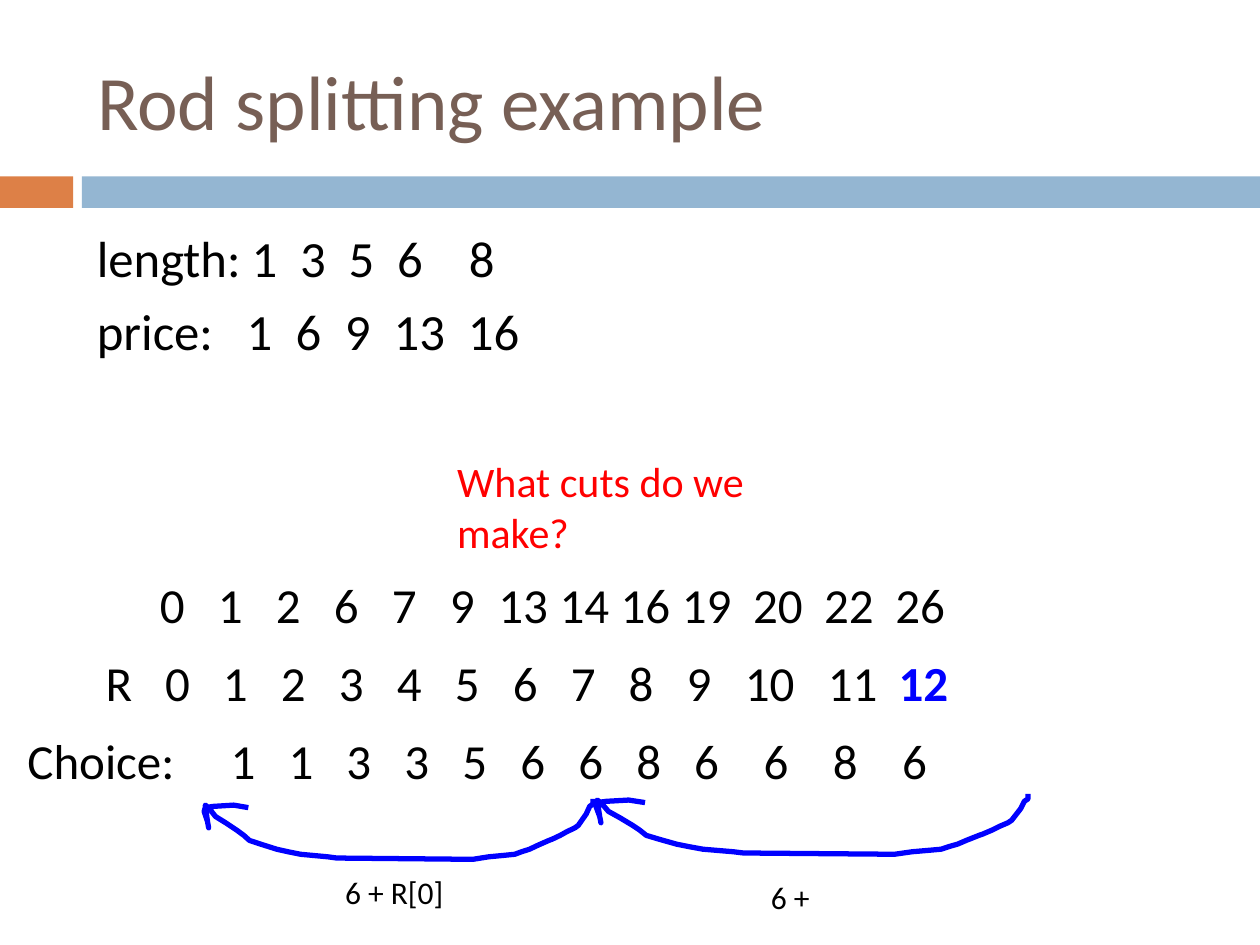
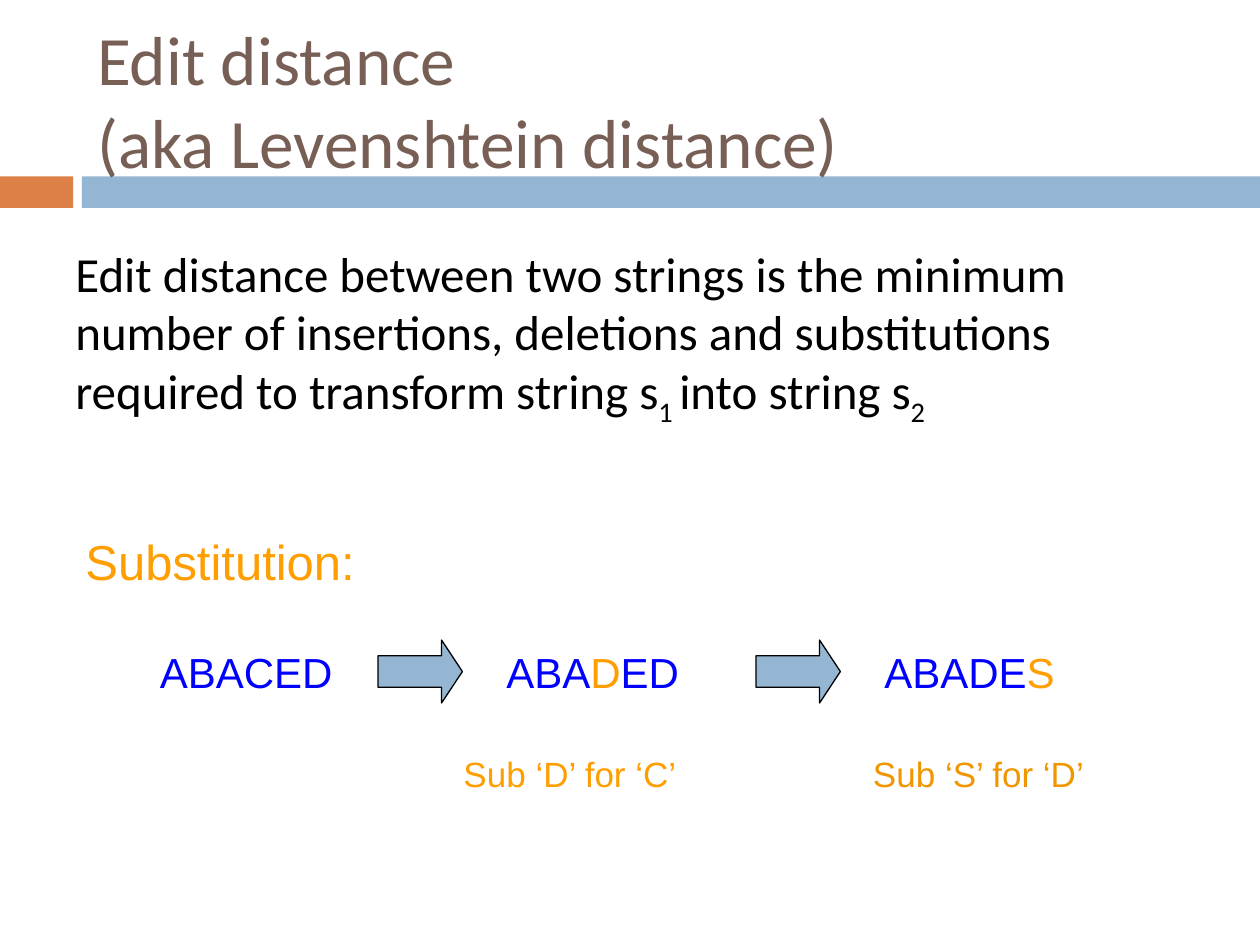
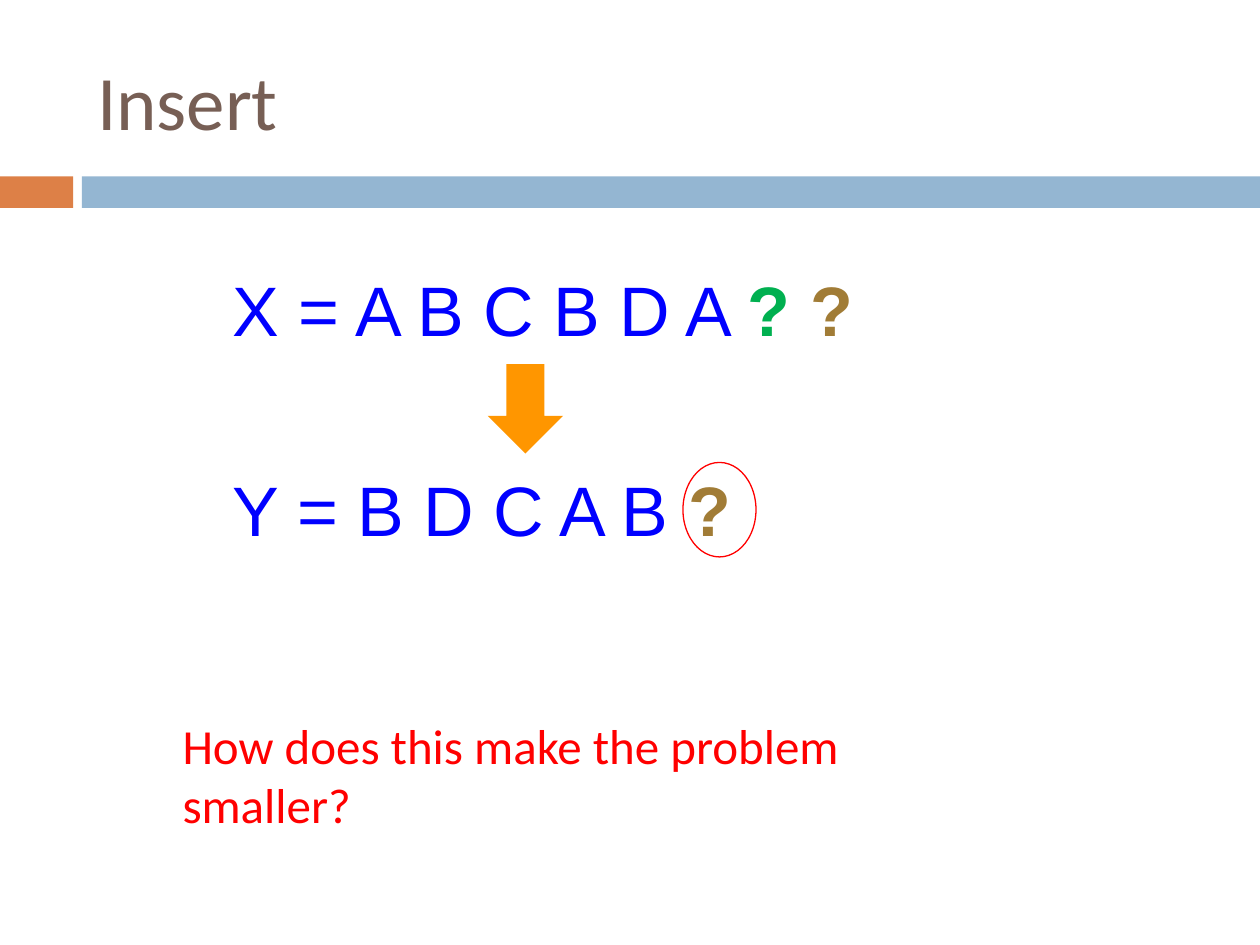
"""Builds three lecture slides on rod splitting and edit distance."""
from itertools import accumulate, chain, repeat

from lxml.etree import SubElement
from pptx import Presentation
from pptx.dml.color import RGBColor
from pptx.enum.shapes import MSO_SHAPE
from pptx.enum.text import MSO_ANCHOR, MSO_AUTO_SIZE, PP_ALIGN
from pptx.oxml.ns import qn
from pptx.util import Inches, Pt

BLACK = RGBColor(0x00, 0x00, 0x00)
BROWN = RGBColor(0x77, 0x5F, 0x55)
RUST = RGBColor(0xDD, 0x80, 0x47)
SKY = RGBColor(0x94, 0xB6, 0xD2)
BLUE = RGBColor(0x00, 0x00, 0xFF)
RED = RGBColor(0xFF, 0x00, 0x00)
GOLD = RGBColor(0xFF, 0x9E, 0x00)
AMBER = RGBColor(0xEF, 0x96, 0x00)
ORANGE = RGBColor(0xFF, 0x96, 0x00)
GREEN = RGBColor(0x00, 0xB0, 0x50)
TAN = RGBColor(0xA1, 0x7C, 0x36)

SANS, ARIAL = "Calibri", "Arial"
WIDE, HIGH = 10, 7.5
BANDS = [((0, 1.4, 0.58, 0.25), RUST), ((0.65, 1.4, 9.35, 0.25), SKY)]
TITLES = [
    ("Rod splitting example", 44),
    ("Edit distance\v(aka Levenshtein distance)", 39.6),
    ("Insert", 44),
]

PRICES = [
    ("length:", [1, 3, 5, 6, 8], [(1, 1.33), (3, 0.385), (1, 0.57)]),
    ("price:", [1, 6, 9, 13, 16], [(1, 1.29), (2, 0.39), (1, 0.49), (1, 0.59)]),
]
ROWS = [
    (0.74, "", [0, 1, 2, 6, 7, 9, 13, 14, 16, 19, 20, 22, 26],
     [(1, 0.53), (5, 0.46), (4, 0.485), (3, 0.565)]),
    (0.74, "R", range(13), [(1, 0.57), (9, 0.46), (1, 0.56), (1, 0.66), (1, 0.56)]),
    (0.12, "Choice:", [1, 1, 3, 3, 5, 6, 6, 8, 6, 6, 8, 6],
     [(1, 1.71), (8, 0.46), (3, 0.55)]),
]
ROW_TOP, ROW_STEP = 4.51, 0.62

STROKE = [
    (3.43, 0), (3.43, 0.04), (3.4, 0.06), (3.37, 0.12), (3.3, 0.21), (3.27, 0.23),
    (3.2, 0.26), (3.14, 0.29), (3.07, 0.32), (3.04, 0.33), (2.94, 0.37), (2.87, 0.4),
    (2.8, 0.42), (2.74, 0.44), (2.63, 0.45), (2.51, 0.46), (2.37, 0.48), (1.17, 0.47),
    (1.09, 0.46), (0.85, 0.44), (0.74, 0.42), (0.64, 0.4), (0.5, 0.36), (0.4, 0.33),
    (0.35, 0.29), (0.29, 0.25), (0.19, 0.19), (0.1, 0.14), (0.04, 0.07), (0.01, 0.05),
    (0.03, 0.18), (0.04, 0.23), (0.03, 0.18), (0, 0.1), (0.01, 0.07), (0.08, 0.06),
    (0.26, 0.05), (0.39, 0.07),
]
JUMPS = [(4.73, 6.3, 1), (1.62, 6.34, 0.9)]

NOTES = [
    ((6.02, 6.92, 0.58, 0.4), 18, [("6 +", BLACK)]),
    ((2.64, 6.88, 1.05, 0.4), 18, [("6 + R[0]", BLACK)]),
    ((3.53, 3.57, 3.4, 0.9), 24, [("What cuts do we make?", RED)]),
]
MEANING = [
    ("Edit distance between two strings is the minimum number of insertions, "
     "deletions and substitutions required to transform string s", BLACK),
    ("1 ", BLACK, "sub"), ("into string s", BLACK), ("2", BLACK, "sub"),
]
EDITS = [
    ((0.58, 4.17, 2.5, 0.57), 28, [("Substitution:", GOLD)]),
    ((1.17, 5.08, 1.58, 0.5), 24, [("ABACED", BLUE)]),
    ((3.92, 5.08, 1.92, 0.5), 24, [("ABA", BLUE), ("D", GOLD), ("ED", BLUE)]),
    ((6.92, 5.08, 2.25, 0.5), 24, [("ABADE", BLUE), ("S", GOLD)]),
    ((3.58, 5.92, 2.25, 0.44), 20, [("Sub ‘D’ for ‘C’", GOLD)]),
    ((6.83, 5.92, 2.75, 0.44), 20, [("Sub ‘S’ for ‘D’", AMBER)]),
]
STRINGS = [
    ((1.75, 2.07, 5.48, 0.77), 40,
     [("X = A B C B D A ", BLUE), ("? ", GREEN, "bold"), ("?", TAN, "bold")]),
    ((1.75, 3.65, 5.17, 0.77), 40, [("Y = B D C A B ", BLUE), ("?", TAN, "bold")]),
]
ASK = [("How does this make the problem smaller?", RED)]


def place(box):
    return [Inches(n) for n in box]


def paint(run, size, face, color, style=""):
    font = run.font
    font.size, font.name, font.color.rgb = Pt(size), face, color
    if style == "bold":
        font.bold = True
    if style == "sub":
        run._r.get_or_add_rPr().set("baseline", "-25000")


def fill_para(para, parts, size, face, steps=()):
    for text, *look in parts:
        run = para.add_run()
        run.text = text
        paint(run, size, face, *look)
    if steps:
        tabs = SubElement(para._p.get_or_add_pPr(), qn("a:tabLst"))
        gaps = chain.from_iterable(repeat(gap, count) for count, gap in steps)
        for stop in accumulate(gaps):
            SubElement(tabs, qn("a:tab"), pos=str(Inches(stop)), algn="ctr")


def add_text(slide, box, size, parts, face=SANS, steps=()):
    frame = slide.shapes.add_textbox(*place(box)).text_frame
    frame.word_wrap = True
    fill_para(frame.paragraphs[0], parts, size, face, steps)
    return frame


def add_form(slide, kind, box, fill=None, line=None):
    shape = slide.shapes.add_shape(kind, *place(box))
    finish(shape, fill, line, 0.75)
    return shape


def finish(shape, fill, line, width):
    shape.shadow.inherit = False
    if fill is None:
        shape.fill.background()
    else:
        shape.fill.solid()
        shape.fill.fore_color.rgb = fill
    if line is None:
        shape.line.fill.background()
    else:
        shape.line.color.rgb, shape.line.width = line, Pt(width)


def add_jump(slide, left, top, scale):
    spots = [(Inches(left + x * scale), Inches(top + y)) for x, y in STROKE]
    pen = slide.shapes.build_freeform(*spots[0])
    pen.add_line_segments(spots[1:], close=False)
    finish(pen.convert_to_shape(), None, BLUE, 3)


def set_layout(layout, slide):
    for item in list(layout.placeholders):
        if item.placeholder_format.idx:
            item.element.getparent().remove(item.element)
    title = layout.placeholders[0]
    title.left, title.top, title.width, title.height = place((0.67, 0.25, 8.92, 1.08))
    for box, color in BANDS:
        band = add_form(slide, MSO_SHAPE.RECTANGLE, box, color)
        layout.shapes.element.append(band.element)


def set_title(slide, text, size):
    frame = slide.shapes.title.text_frame
    frame.text = text
    frame.word_wrap, frame.auto_size = True, MSO_AUTO_SIZE.NONE
    frame.vertical_anchor = MSO_ANCHOR.MIDDLE
    para = frame.paragraphs[0]
    para.alignment = PP_ALIGN.LEFT
    for run in para.runs:
        paint(run, size, SANS, BROWN)


def tabbed(name, cells):
    return "\t".join([name, *map(str, cells)])


def draw_rods(slide):
    frame = None
    for name, cells, steps in PRICES:
        parts = [(tabbed(name, cells), BLACK)]
        if frame is None:
            frame = add_text(slide, (0.67, 1.75, 8.92, 1.16), 29, parts, steps=steps)
        else:
            para = frame.add_paragraph()
            para.space_before = Pt(7)
            fill_para(para, parts, 29, SANS, steps)
    for i, (left, name, cells, steps) in enumerate(ROWS):
        parts = [(tabbed(name, cells), BLACK)]
        if name == "R":
            parts = [(tabbed(name, cells[:-1]) + "\t", BLACK),
                     (str(cells[-1]), BLUE, "bold")]
        box = (left, ROW_TOP + i * ROW_STEP, 8.3, 0.57)
        add_text(slide, box, 28, parts, steps=steps)
    for jump in JUMPS:
        add_jump(slide, *jump)
    for note in NOTES:
        add_text(slide, *note)


def draw_edits(slide):
    for edit in EDITS:
        add_text(slide, *edit, face=ARIAL)
    for left in (0.3 * WIDE, 0.6 * WIDE):
        arrow = add_form(slide, MSO_SHAPE.RIGHT_ARROW, (left, 5.08, 0.67, 0.5), SKY, BLACK)
        arrow.adjustments[1] = 0.33
    add_text(slide, (0.5, 1.88, 9, 2.29), 28, MEANING)


def draw_insert(slide):
    for string in STRINGS:
        add_text(slide, *string, face=ARIAL)
    add_form(slide, MSO_SHAPE.OVAL, (5.42, 3.67, 0.58, 0.75), line=RED)
    add_form(slide, MSO_SHAPE.DOWN_ARROW, (3.87, 2.89, 0.6, 0.71), ORANGE)
    add_text(slide, (1.35, 5.63, 6.65, 1.04), 28, ASK)


def main():
    deck = Presentation()
    deck.slide_width, deck.slide_height = Inches(WIDE), Inches(HIGH)
    layout = deck.slide_layouts[5]
    slides = [deck.slides.add_slide(layout) for _ in TITLES]
    set_layout(layout, slides[0])
    for slide, title, draw in zip(slides, TITLES, (draw_rods, draw_edits, draw_insert)):
        set_title(slide, *title)
        draw(slide)
    deck.save("out.pptx")


if __name__ == "__main__":
    main()
